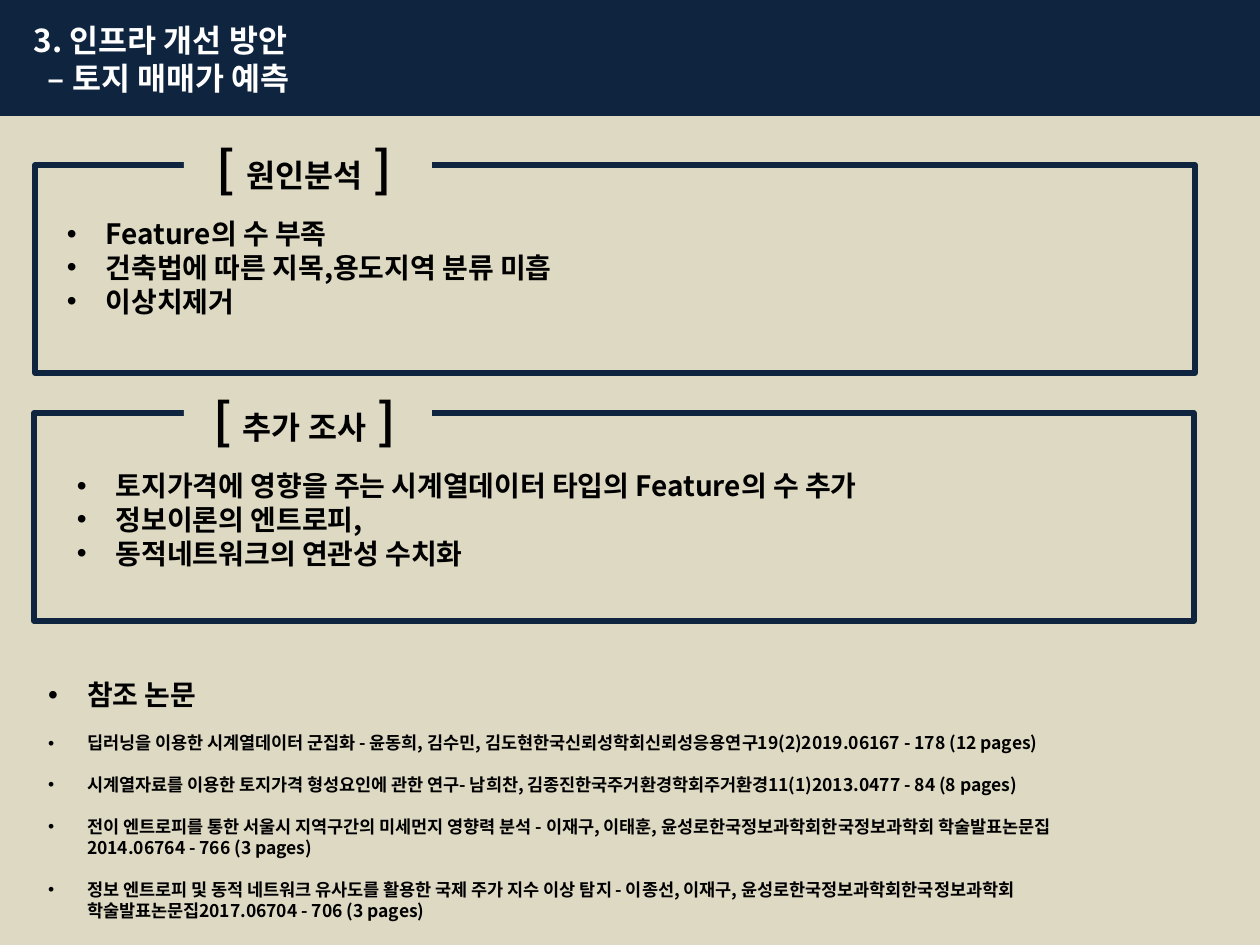
from typing import NamedTuple

from lxml.etree import SubElement
from pptx import Presentation
from pptx.dml.color import RGBColor
from pptx.enum.shapes import MSO_SHAPE as Shape
from pptx.enum.text import MSO_ANCHOR as Anchor, PP_ALIGN as Align
from pptx.oxml.ns import qn
from pptx.util import Emu, Pt

PX_PER_INCH = 126
FONT = "Noto Sans CJK KR"
NAVY, SAND, BLACK, WHITE = "0F243E", "DDD9C3", "000000", "FFFFFF"
LINE_HEIGHT = 1.2
BULLET_INDENT = 39


class Box(NamedTuple):
    left: int
    top: int
    width: int
    height: int


class Span(NamedTuple):
    text: str
    size: int
    color: str = BLACK


class Para(NamedTuple):
    spans: list[Span]
    bullet: bool = False
    indent: int = 0
    gap: int = 0
    align: Align = Align.LEFT


class Section(NamedTuple):
    frame: Box
    label: Box
    title: str
    body: Box
    items: list[str]


SECTIONS = [
    Section(Box(35, 165, 1160, 208), Box(184, 129, 248, 72), "원인분석",
            Box(54, 209, 1121, 115),
            ["Feature의 수 부족", "건축법에 따른 지목,용도지역 분류 미흡", "이상치제거"]),
    Section(Box(34, 413, 1160, 208), Box(184, 381, 248, 72), "추가 조사",
            Box(64, 461, 1091, 115),
            ["토지가격에 영향을 주는 시계열데이터 타입의 Feature의 수 추가",
             "정보이론의 엔트로피,", "동적네트워크의 연관성 수치화"]),
]
PAPERS = [
    "딥러닝을 이용한 시계열데이터 군집화 - 윤동희, 김수민, "
    "김도현한국신뢰성학회신뢰성응용연구19(2)2019.06167 - 178 (12 pages)",
    "시계열자료를 이용한 토지가격 형성요인에 관한 연구- 남희찬, "
    "김종진한국주거환경학회주거환경11(1)2013.0477 - 84 (8 pages)",
    "전이 엔트로피를 통한 서울시 지역구간의 미세먼지 영향력 분석 - 이재구, 이태훈, "
    "윤성로한국정보과학회한국정보과학회 학술발표논문집2014.06764 - 766 (3 pages)",
    "정보 엔트로피 및 동적 네트워크 유사도를 활용한 국제 주가 지수 이상 탐지 - 이종선, 이재구, "
    "윤성로한국정보과학회한국정보과학회 학술발표논문집2017.06704 - 706 (3 pages)",
]


def px(length: int) -> Emu:
    return Emu(round(length * 914400 / PX_PER_INCH))


def rgb(color: str) -> RGBColor:
    return RGBColor.from_string(color)


def place(box: Box) -> list[Emu]:
    return [px(length) for length in box]


def add_rect(page, box: Box, fill: str | None = None, line: str | None = None):
    rect = page.shapes.add_shape(Shape.RECTANGLE, *place(box))
    rect.shadow.inherit = False
    if fill:
        rect.fill.solid()
        rect.fill.fore_color.rgb = rgb(fill)
    else:
        rect.fill.background()
    if line:
        rect.line.color.rgb = rgb(line)
        rect.line.width = Pt(3)
        SubElement(rect.line._get_or_add_ln(), qn("a:round"))
    else:
        rect.line.fill.background()
    return rect


def write_span(para, span: Span) -> None:
    run = para.add_run()
    run.text = span.text
    formats = {"size": Pt(span.size), "bold": True, "name": FONT}
    for name, value in formats.items():
        setattr(run.font, name, value)
    run.font.color.rgb = rgb(span.color)
    SubElement(run.font._element, qn("a:ea"), typeface=FONT)


def write_para(para, content: Para) -> None:
    largest = max(span.size for span in content.spans)
    formats = {"alignment": content.align, "space_before": Pt(content.gap),
               "line_spacing": Pt(round(largest * LINE_HEIGHT, 1))}
    for name, value in formats.items():
        setattr(para, name, value)
    properties = para._p.get_or_add_pPr()
    properties.set("marL", str(px(content.indent)))
    if content.bullet:
        properties.set("marL", str(px(BULLET_INDENT)))
        properties.set("indent", str(px(-BULLET_INDENT)))
        SubElement(properties, qn("a:buFont"), typeface="Arial")
        SubElement(properties, qn("a:buChar"), char="•")
    for span in content.spans:
        write_span(para, span)


def write(shape, paras: list[Para], anchor: Anchor = Anchor.TOP,
          top: int = 8, right: int = 13) -> None:
    frame = shape.text_frame
    formats = {"word_wrap": True, "vertical_anchor": anchor, "margin_left": px(13),
               "margin_right": px(right), "margin_top": px(top), "margin_bottom": px(6)}
    for name, value in formats.items():
        setattr(frame, name, value)
    for index, content in enumerate(paras):
        para = frame.add_paragraph() if index else frame.paragraphs[0]
        write_para(para, content)


def add_list(page, box: Box, paras: list[Para]) -> None:
    write(page.shapes.add_textbox(*place(box)), paras)


def add_section(page, section: Section) -> None:
    add_rect(page, section.frame, line=NAVY)
    label = add_rect(page, section.label, fill=SAND)
    spans = [Span("[ ", 28), Span(section.title, 18), Span(" ]", 28)]
    write(label, [Para(spans, align=Align.CENTER)], top=10, right=20)
    add_list(page, section.body,
             [Para([Span(item, 16)], bullet=True) for item in section.items])


def add_header(page) -> None:
    header = add_rect(page, Box(0, 0, 1260, 116), fill=NAVY)
    lines = [("3. 인프라 개선 방안", 21), ("– 토지 매매가 예측", 35)]
    write(header, [Para([Span(text, 18, WHITE)], indent=indent) for text, indent in lines],
          Anchor.MIDDLE)


def main() -> None:
    deck = Presentation()
    deck.slide_width, deck.slide_height = px(1260), px(945)
    page = deck.slides.add_slide(deck.slide_layouts[6])
    page.background.fill.solid()
    page.background.fill.fore_color.rgb = rgb(SAND)
    for section in SECTIONS:
        add_section(page, section)
    add_header(page)
    heading = Para([Span("참조 논문", 16)], bullet=True)
    papers = [Para([Span(paper, 10)], bullet=True, gap=12) for paper in PAPERS]
    add_list(page, Box(35, 670, 1091, 369), [heading, *papers])
    deck.save("out.pptx")


if __name__ == "__main__":
    main()
